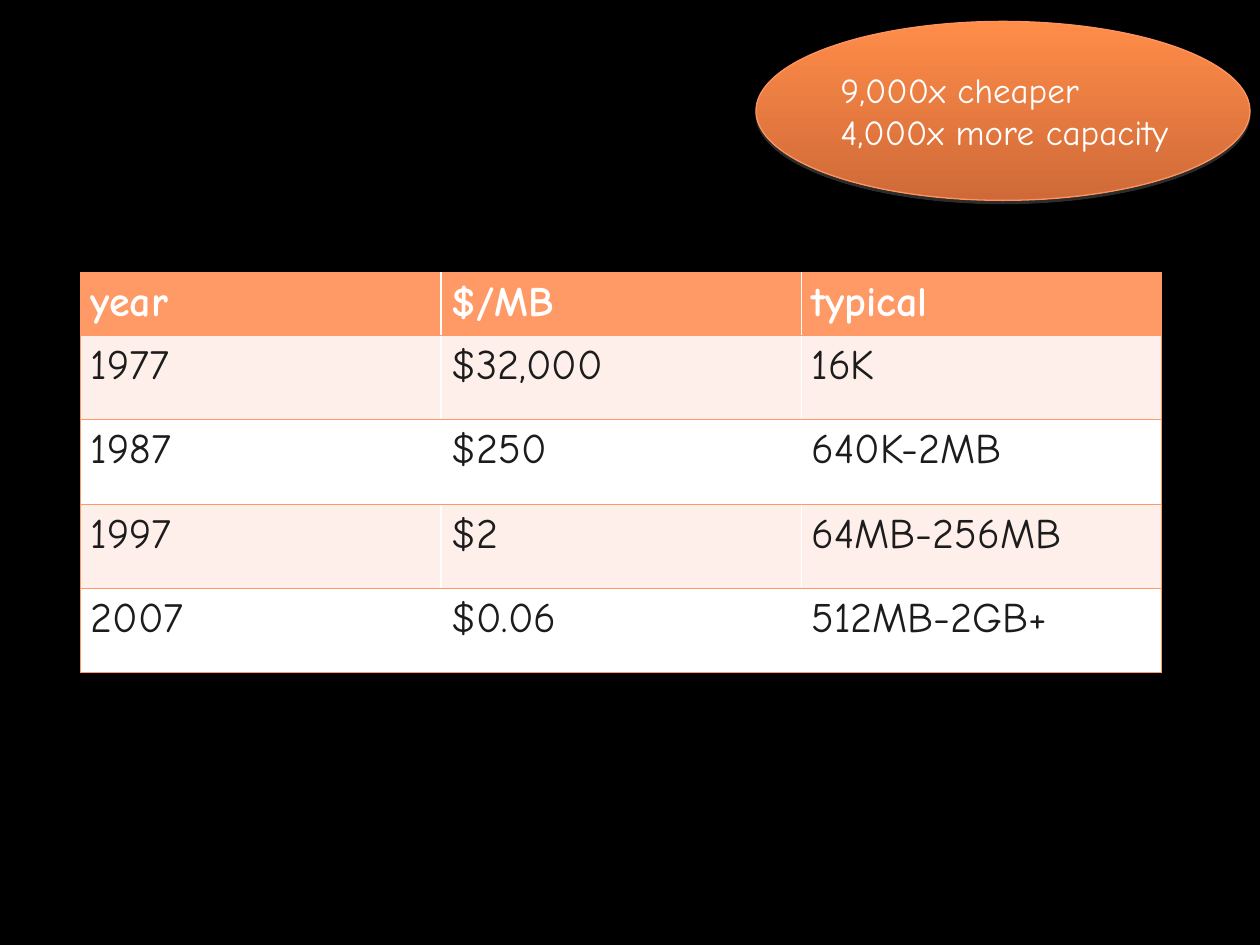
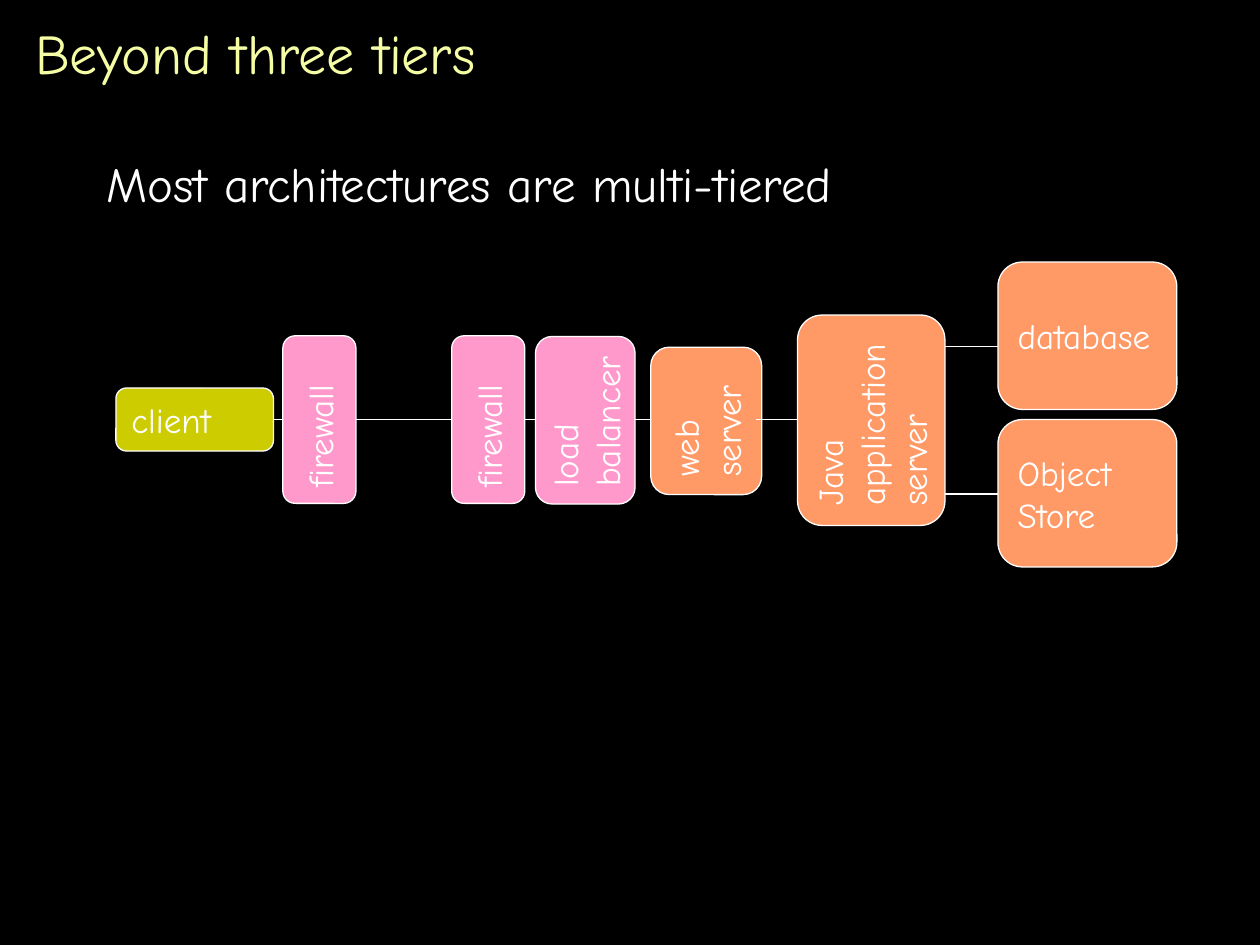
from dataclasses import dataclass

from lxml.etree import SubElement
from pptx import Presentation
from pptx.dml.color import RGBColor
from pptx.enum.shapes import MSO_CONNECTOR, MSO_SHAPE
from pptx.enum.text import MSO_ANCHOR, PP_ALIGN
from pptx.oxml.ns import qn
from pptx.util import Inches, Pt

FONT = "Comic Neue"
BLACK, WHITE, INK = "000000", "FFFFFF", "1C1C1C"
ORANGE, PINK, OLIVE = "FF9966", "FF99CC", "CCCC00"
BAND, TITLE = "FFEFEA", "F5FDA5"
TOP, LEFT, RIGHT = 0, 1, 3

PRICES = [
    ("year", "$/MB", "typical"),
    ("1977", "$32,000", "16K"),
    ("1987", "$250", "640K-2MB"),
    ("1997", "$2", "64MB-256MB"),
    ("2007", "$0.06", "512MB-2GB+"),
]


@dataclass
class Tier:
    name: str
    lines: tuple
    x: float
    y: float
    w: float
    h: float
    color: str
    rotation: int = 0


@dataclass
class Link:
    x1: float
    y1: float
    x2: float
    y2: float
    begin: tuple | None = None
    end: tuple | None = None


ARCHITECTURE = [
    Tier("client", ("client",), 0.92, 3.08, 1.25, 0.5, OLIVE),
    Tier("web", ("web\nserver",), 5.02, 2.9, 1.17, 0.88, ORANGE, 270),
    Link(2.17, 3.33, 5.17, 3.33, ("client", RIGHT), ("web", TOP)),
    Tier("app", ("Java\napplication\nserver",), 6.08, 2.75, 1.67, 1.17, ORANGE, 270),
    Link(6, 3.33, 6.33, 3.33, end=("app", TOP)),
    Tier("balancer", ("load", "balancer"), 3.98, 2.94, 1.33, 0.79, PINK, 270),
    Tier("inner firewall", ("firewall",), 3.21, 3.04, 1.33, 0.58, PINK, 270),
    Tier("outer firewall", ("firewall",), 1.87, 3.04, 1.33, 0.58, PINK, 270),
    Tier("database", ("database",), 7.92, 2.08, 1.42, 1.17, ORANGE),
    Link(7.92, 2.75, 7.5, 2.75),
    Tier("store", ("Object", "Store"), 7.92, 3.33, 1.42, 1.17, ORANGE),
    Link(7.92, 3.92, 7.5, 3.92, begin=("store", LEFT)),
]


def rgb(color: str) -> RGBColor:
    return RGBColor.from_string(color)


def add_slide(prs):
    s = prs.slides.add_slide(prs.slide_layouts[6])
    s.background.fill.solid()
    s.background.fill.fore_color.rgb = rgb(BLACK)
    return s


def write(tf, lines: tuple, size: float, color: str = WHITE, bold: bool = False) -> None:
    for i, line in enumerate(lines):
        p = tf.add_paragraph() if i else tf.paragraphs[0]
        p.alignment = PP_ALIGN.LEFT
        for j, part in enumerate(line.split("\n")):
            if j:
                p.add_line_break()
            r = p.add_run()
            r.text = part
            r.font.name = FONT
            r.font.size = Pt(size)
            r.font.bold = bold
            r.font.color.rgb = rgb(color)


def add_text(s, text: str, x: float, y: float, w: float, h: float, size: float,
             color: str, anchor=MSO_ANCHOR.TOP):
    tf = s.shapes.add_textbox(Inches(x), Inches(y), Inches(w), Inches(h)).text_frame
    tf.word_wrap = True
    tf.vertical_anchor = anchor
    write(tf, (text,), size, color)
    return tf


def add_label_shape(s, kind, lines: tuple, x: float, y: float, w: float, h: float,
                    line_color: str):
    sp = s.shapes.add_shape(kind, Inches(x), Inches(y), Inches(w), Inches(h))
    sp.shadow.inherit = False
    sp.line.color.rgb = rgb(line_color)
    sp.line.width = Pt(0.75)
    tf = sp.text_frame
    tf.word_wrap = False
    tf.vertical_anchor = MSO_ANCHOR.MIDDLE
    write(tf, lines, 20)
    return sp


def add_tier(s, tier: Tier):
    sp = add_label_shape(s, MSO_SHAPE.ROUNDED_RECTANGLE, tier.lines,
                         tier.x, tier.y, tier.w, tier.h, WHITE)
    sp.fill.solid()
    sp.fill.fore_color.rgb = rgb(tier.color)
    sp.rotation = tier.rotation
    return sp


def add_link(s, link: Link, tiers: dict) -> None:
    x1, y1, x2, y2 = map(Inches, (link.x1, link.y1, link.x2, link.y2))
    cx = s.shapes.add_connector(MSO_CONNECTOR.STRAIGHT, x1, y1, x2, y2)
    cx.line.color.rgb = rgb(WHITE)
    cx.line.width = Pt(0.75)
    SubElement(cx._element.spPr, qn("a:effectLst"))
    if link.begin:
        name, side = link.begin
        cx.begin_connect(tiers[name], side)
    if link.end:
        name, side = link.end
        cx.end_connect(tiers[name], side)
    cx.begin_x, cx.begin_y, cx.end_x, cx.end_y = x1, y1, x2, y2


def add_border(cell, side: str) -> None:
    ln = SubElement(cell._tc.get_or_add_tcPr(), qn(f"a:ln{side}"), w=str(Pt(0.45)))
    fill = SubElement(ln, qn("a:solidFill"))
    SubElement(fill, qn("a:srgbClr"), val=ORANGE)


def add_price_table(s) -> None:
    rows, cols = len(PRICES), len(PRICES[0])
    table = s.shapes.add_table(rows, cols, Inches(0.64), Inches(2.16),
                               Inches(8.58), Inches(3.18)).table
    table.first_row = table.horz_banding = False
    for col in table.columns:
        col.width = Inches(2.86)
    for i, values in enumerate(PRICES):
        header = i == 0
        table.rows[i].height = Inches(0.5 if header else 0.67)
        fill = ORANGE if header else BAND if i % 2 else WHITE
        for j, value in enumerate(values):
            cell = table.cell(i, j)
            cell.margin_left = cell.margin_right = Inches(0.08)
            outer = {0: "L", cols - 1: "R"}.get(j, "")
            for side in outer + "TB":
                add_border(cell, side)
            cell.fill.solid()
            cell.fill.fore_color.rgb = rgb(fill)
            write(cell.text_frame, (value,), 24, WHITE if header else INK, header)


def add_savings_badge(s) -> None:
    sp = add_label_shape(s, MSO_SHAPE.OVAL, ("9,000x cheaper\n4,000x more capacity",),
                         6, 0.17, 3.92, 1.42, "FD9460")
    sp.fill.gradient()
    sp.fill.gradient_angle = 270
    for stop, color in zip(sp.fill.gradient_stops, ("FF8C49", "CF6A38")):
        stop.color.rgb = rgb(color)
    effects = sp._element.spPr.find(qn("a:effectLst"))
    shadow = SubElement(effects, qn("a:outerShdw"), blurRad="0", dist=str(Pt(1.8)),
                        dir="5400000", rotWithShape="0")
    tint = SubElement(shadow, qn("a:srgbClr"), val="808080")
    SubElement(tint, qn("a:alpha"), val="35000")


def build_memory_prices(prs) -> None:
    s = add_slide(prs)
    add_price_table(s)
    add_savings_badge(s)


def build_tiers(prs) -> None:
    s = add_slide(prs)
    add_text(s, "Beyond three tiers", 0.18, 0.08, 9.67, 0.67, 32, TITLE, MSO_ANCHOR.MIDDLE)
    tf = add_text(s, "Most architectures are multi-tiered", 0.75, 1.17, 8.5, 0.83, 28, WHITE)
    tf.paragraphs[0].space_before = Pt(7)
    tiers = {}
    for item in ARCHITECTURE:
        if isinstance(item, Tier):
            tiers[item.name] = add_tier(s, item)
        else:
            add_link(s, item, tiers)


def main() -> None:
    prs = Presentation()
    prs.slide_width, prs.slide_height = Inches(10), Inches(7.5)
    build_memory_prices(prs)
    build_tiers(prs)
    prs.save("out.pptx")


if __name__ == "__main__":
    main()
